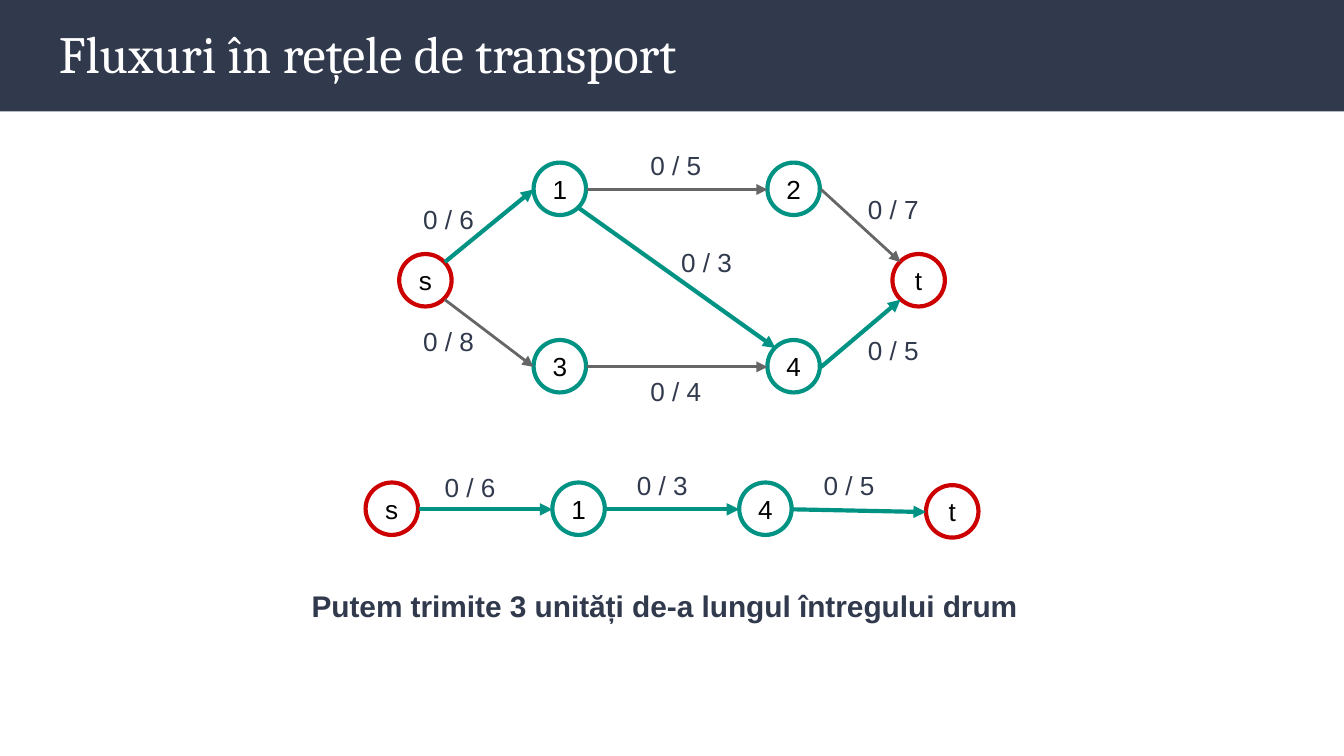
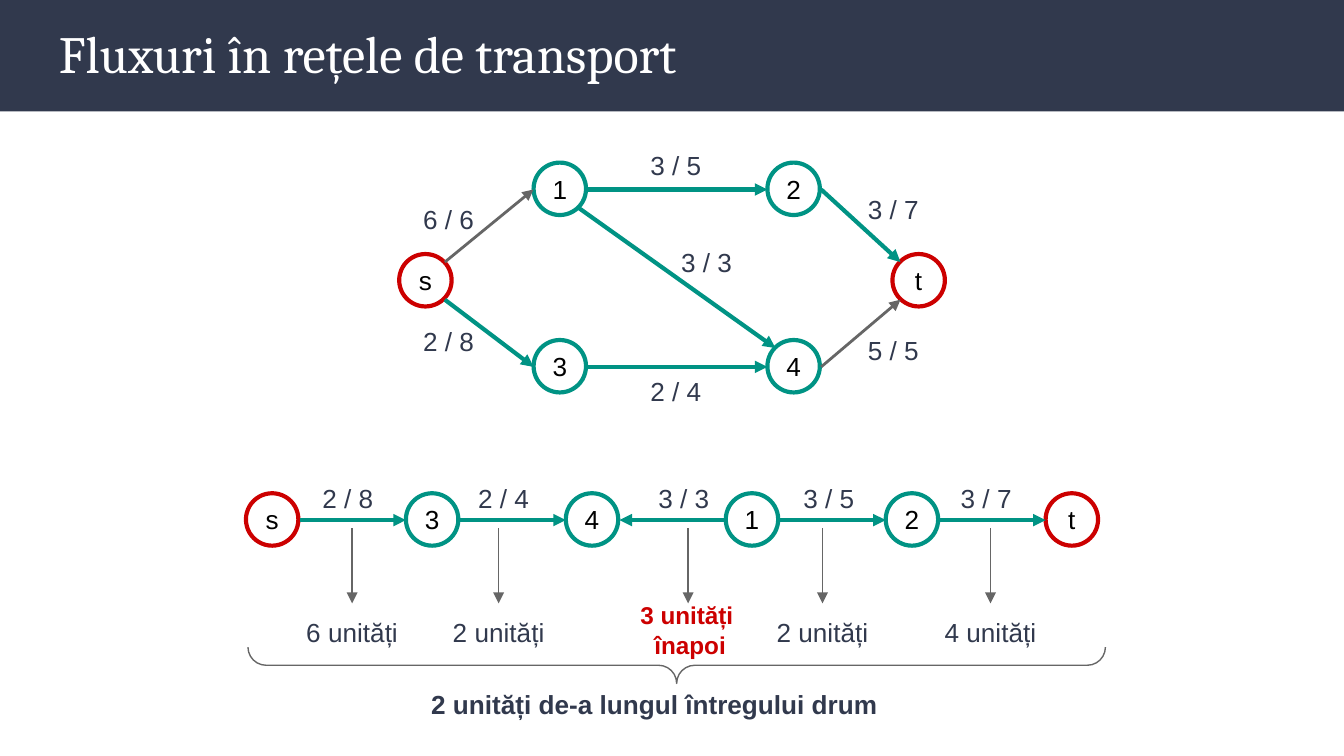
from dataclasses import dataclass
from lxml.etree import SubElement
from pptx import Presentation
from pptx.dml.color import RGBColor as RGB
from pptx.enum.shapes import MSO_CONNECTOR as LINE, MSO_SHAPE as SHAPE
from pptx.enum.text import MSO_ANCHOR as ANCHOR, PP_ALIGN as ALIGN
from pptx.oxml.ns import qn
from pptx.util import Pt

PX = 9144


@dataclass
class Theme:
    navy: str = "31394D"
    teal: str = "009384"
    red: str = "CC0000"
    gray: str = "666666"
    white: str = "FFFFFF"
    black: str = "000000"
    head: str = "Cambria"
    body: str = "Arial"
    title: int = 28
    note: int = 16
    text: int = 14
    small: int = 13
    bold: float = 2.25
    thin: float = 1.5
    hair: float = 0.75


theme = Theme()


def write(shape, text, size=theme.text, color=theme.navy, font=theme.body,
          bold=False, align=ALIGN.LEFT, anchor=ANCHOR.TOP, inset=10):
    frame = shape.text_frame
    frame.word_wrap = True
    frame.vertical_anchor = anchor
    frame.margin_left = frame.margin_right = inset * PX
    frame.margin_top = frame.margin_bottom = inset * PX
    frame.text = text
    for para in frame.paragraphs:
        para.alignment = align
        para.font.size = Pt(size)
        para.font.name = font
        para.font.bold = bold
        para.font.color.rgb = RGB.from_string(color)


def arrow(slide, start, end, color, width):
    line = slide.shapes.add_connector(LINE.STRAIGHT, *[v * PX for v in (*start, *end)])
    line.line.color.rgb = RGB.from_string(color)
    line.line.width = Pt(width)
    props = line._element.spPr
    SubElement(props.find(qn("a:ln")), qn("a:tailEnd"), type="triangle")
    SubElement(props, qn("a:effectLst"))


SIZE, HALF, DIAG = 39, 20, 14
ports = {"E": (HALF, 0), "W": (-HALF, 0), "NE": (DIAG, -DIAG),
         "NW": (-DIAG, -DIAG), "SE": (DIAG, DIAG), "SW": (-DIAG, DIAG)}
net = {"s": (317, 209), "4": (591, 273), "3": (417, 273),
       "2": (591, 141), "1": (417, 141), "t": (684, 209)}
edges = {
    "s1": ("NE", "W", 6, 305, 141),
    "12": ("E", "W", 5, 474, 101),
    "2t": ("E", "NW", 7, 636, 134),
    "s3": ("SE", "W", 8, 305, 232),
    "34": ("E", "W", 4, 474, 269),
    "4t": ("E", "SW", 5, 636, 239),
    "14": ("SE", "NW", 3, 497, 173),
}

pages = [
    dict(
        flow=dict.fromkeys(edges, 0),
        chain={"s": (292, 379), "1": (431, 379), "4": (570, 379), "t": (709, 381)},
        steps={"s1": (321, 341), "14": (464, 339), "4t": (603, 339)},
        note=("Putem trimite 3 unități de-a lungul întregului drum", 222, 427, 563, 47, theme.note),
        spare=[],
    ),
    dict(
        flow={"s1": 6, "12": 3, "2t": 3, "s3": 2, "34": 2, "4t": 5, "14": 3},
        chain={name: (203 + 119 * i, 387) for i, name in enumerate("s3412t")},
        steps={"s3": (230, 349), "34": (346, 349), "14": (480, 349),
               "12": (588, 349), "2t": (705, 349)},
        note=("2 unități de-a lungul întregului drum", 311, 502, 363, 44, theme.text),
        spare=[(262, "6 unități"), (371, "2 unități"), (512, "3 unități \nînapoi"),
               (612, "2 unități"), (737, "4 unități")],
    ),
]

prs = Presentation()
prs.slide_width = 1000 * PX
prs.slide_height = prs.slide_width * 9 // 16

for page in pages:
    slide = prs.slides.add_slide(prs.slide_layouts[6])
    shapes = slide.shapes
    band = shapes.add_shape(SHAPE.RECTANGLE, 0, 0, prs.slide_width, 83 * PX)
    band.shadow.inherit = False
    band.fill.solid()
    band.fill.fore_color.rgb = RGB.from_string(theme.navy)
    band.line.fill.background()
    title = shapes.add_textbox(34 * PX, 6 * PX, 932 * PX, 68 * PX)
    write(title, "Fluxuri în rețele de transport",
          size=theme.title, color=theme.white, font=theme.head)

    chain, steps = page["chain"], page["steps"]
    for name, (x, y) in [*net.items(), *chain.items()]:
        node = shapes.add_shape(SHAPE.OVAL, (x - HALF) * PX, (y - HALF) * PX, SIZE * PX, SIZE * PX)
        node.shadow.inherit = False
        node.fill.background()
        node.line.color.rgb = RGB.from_string(theme.red if name in "st" else theme.teal)
        node.line.width = Pt(theme.bold)
        write(node, name, color=theme.black, align=ALIGN.CENTER, anchor=ANCHOR.MIDDLE, inset=2)

    links = []
    for edge, (out, into, cap, x, y) in edges.items():
        style = (theme.teal, theme.bold) if edge in steps else (theme.gray, theme.thin)
        links.append((net, edge, out, into, style, x, y))
    for edge, (x, y) in steps.items():
        ahead = chain[edge[0]][0] < chain[edge[1]][0]
        out, into = ("E", "W") if ahead else ("W", "E")
        links.append((chain, edge, out, into, (theme.teal, theme.bold), x, y))

    for nodes, edge, out, into, style, x, y in links:
        start, end = [[c + d for c, d in zip(nodes[name], ports[port])]
                      for name, port in zip(edge, (out, into))]
        arrow(slide, start, end, *style)
        label = shapes.add_textbox(x * PX, y * PX, 66 * PX, 44 * PX)
        write(label, f"{page['flow'][edge]} / {edges[edge][2]}")

    for x, text in page["spare"]:
        arrow(slide, (x, 393), (x, 449), theme.gray, theme.hair)
        if "înapoi" in text:
            back = shapes.add_textbox(462 * PX, 437 * PX, 103 * PX, 64 * PX)
            write(back, text, size=theme.small, color=theme.red, bold=True, align=ALIGN.CENTER)
        else:
            units = shapes.add_textbox((x - 44) * PX, 449 * PX, 89 * PX, 44 * PX)
            write(units, text)

    if page["spare"]:
        brace = shapes.add_shape(SHAPE.LEFT_BRACE, 490 * PX, 176 * PX, 27 * PX, 638 * PX)
        brace.rotation = 270
        brace.adjustments[0] = brace.adjustments[1] = 0.5
        brace.shadow.inherit = False
        brace.fill.background()
        brace.line.color.rgb = RGB.from_string(theme.gray)
        brace.line.width = Pt(theme.hair)

    text, x, y, w, h, size = page["note"]
    note = shapes.add_textbox(x * PX, y * PX, w * PX, h * PX)
    write(note, text, size=size, bold=True)

prs.save("out.pptx")
